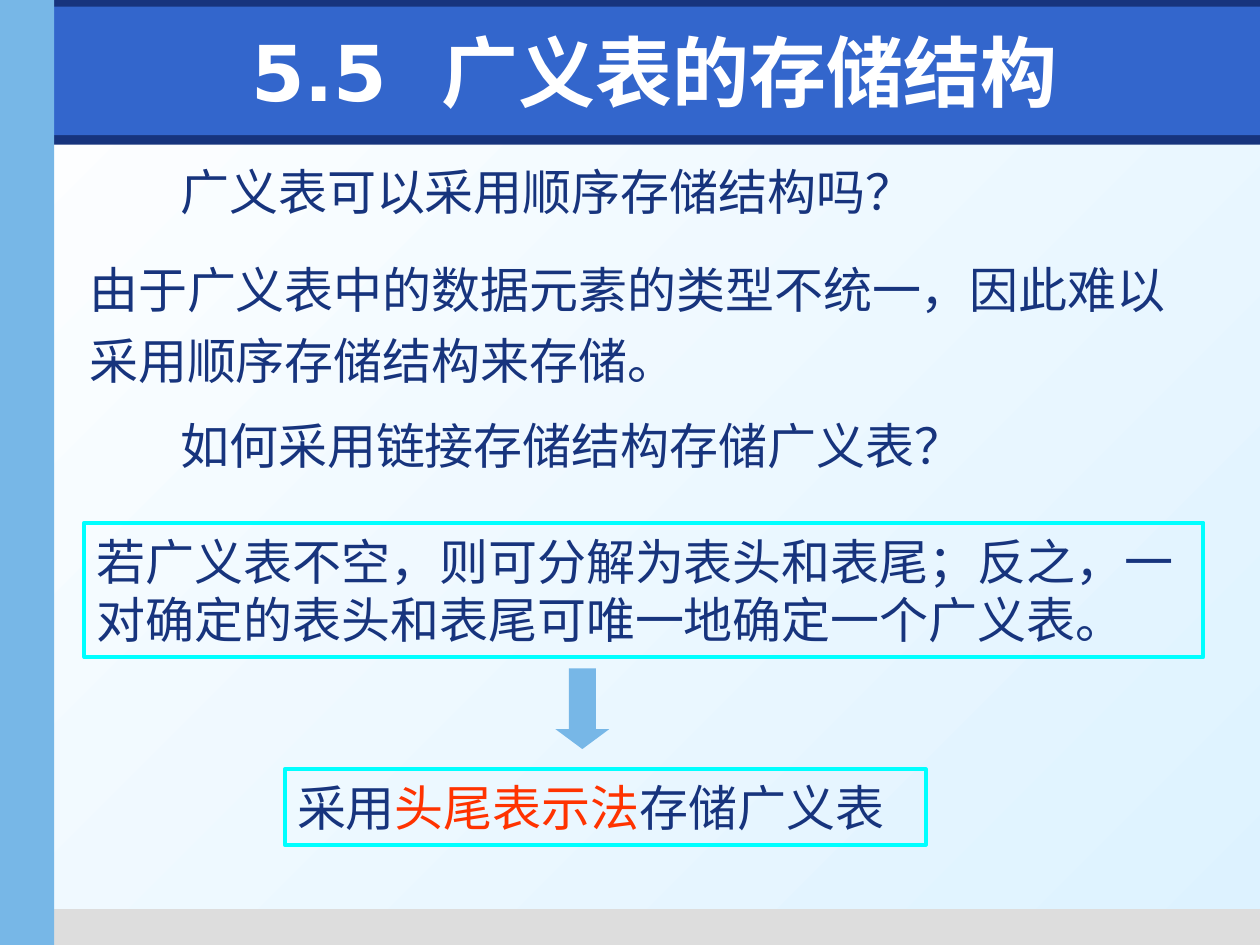
import dataclasses

import lxml.etree
import pptx
import pptx.dml.color
import pptx.enum.shapes
import pptx.enum.text
import pptx.oxml.ns
import pptx.util

SHAPES = pptx.enum.shapes.MSO_SHAPE
ALIGN = pptx.enum.text.PP_ALIGN
ANCHOR = pptx.enum.text.MSO_ANCHOR


@dataclasses.dataclass(frozen=True)
class Theme:
    """Colours, fonts and type sizes of the slide."""
    navy: str = "17347D"
    blue: str = "3366CC"
    sky: str = "77B7E7"
    gray: str = "DDDDDD"
    cyan: str = "00FFFF"
    red: str = "FF3300"
    white: str = "FFFFFF"
    pale: str = "DDF2FF"
    latin: str = "DejaVu Sans"
    cjk: str = "Noto Sans CJK SC"
    title: int = 44
    body: int = 28
    border: float = 2.25


@dataclasses.dataclass(frozen=True)
class Box:
    """A rectangle in inches that hands out areas of itself as shares."""
    left: float
    top: float
    width: float
    height: float

    def share(self, left, top, width, height):
        """Return the box at the given percentages of this one."""
        return Box(self.left + left * self.width / 100, self.top + top * self.height / 100,
                   width * self.width / 100, height * self.height / 100)

    def lengths(self):
        """Return the four lengths that python-pptx expects."""
        return [pptx.util.Inches(v) for v in dataclasses.astuple(self)]


THEME = Theme()
PAGE = Box(0, 0, 10, 7.5)


def rgb(value):
    """Turn a hex string into a colour."""
    return pptx.dml.color.RGBColor.from_string(value)


def add_block(slide, box, fill=None, line=None, preset=SHAPES.RECTANGLE):
    """Add a preset shape with an optional fill and outline."""
    block = slide.shapes.add_shape(preset, *box.lengths())
    block.shadow.inherit = False
    if fill:
        block.fill.solid()
        block.fill.fore_color.rgb = rgb(fill)
    else:
        block.fill.background()
    if line:
        block.line.color.rgb = rgb(line)
        block.line.width = pptx.util.Pt(THEME.border)
    else:
        block.line.fill.background()
    return block


def write(frame, *pieces, size=THEME.body, font=THEME.cjk, color=THEME.navy, bold=False,
          align=ALIGN.LEFT, anchor=ANCHOR.MIDDLE, spacing=None):
    """Write one paragraph of strings or (string, colour) pairs."""
    frame.word_wrap = True
    frame.vertical_anchor = anchor
    paragraph = frame.paragraphs[0]
    paragraph.alignment = align
    paragraph.line_spacing = spacing
    for piece in pieces:
        words, tint = (piece, color) if isinstance(piece, str) else piece
        run = paragraph.add_run()
        run.text = words
        run.font.size = pptx.util.Pt(size)
        run.font.bold = bold
        run.font.name = font
        run.font.color.rgb = rgb(tint)
        properties = run._r.get_or_add_rPr()
        east_asian = lxml.etree.SubElement(properties, pptx.oxml.ns.qn("a:ea"))
        east_asian.set("typeface", THEME.cjk)


def add_text(slide, box, *pieces, **text_format):
    """Add a text box holding one paragraph."""
    write(slide.shapes.add_textbox(*box.lengths()).text_frame, *pieces, **text_format)


def draw_backdrop(slide, page):
    """Paint the gradient, the header bands, the footer and the side bar."""
    fill = slide.background.fill
    fill.gradient()
    fill.gradient_angle = 315
    for stop, color in zip(fill.gradient_stops, (THEME.white, THEME.pale)):
        stop.color.rgb = rgb(color)
    side = 4.3
    for top, height, color in ((14.3, 1, THEME.navy), (96.2, 3.8, THEME.gray),
                               (0, 2.8, THEME.navy), (0.7, 13.6, THEME.blue)):
        add_block(slide, page.share(side, top, 100 - side, height), color)
    add_block(slide, page.share(0, 0, side, 100), THEME.sky)


def draw_title(slide, box):
    """Write the section heading."""
    add_text(slide, box, "5.5  广义表的存储结构", size=THEME.title, font=THEME.latin,
             color=THEME.white, bold=True, align=ALIGN.CENTER)


def draw_questions(slide, box):
    """Write the two indented questions with the answer between them."""
    indent, row = 8, 22
    for top, question in ((0, "广义表可以采用顺序存储结构吗？"),
                          (100 - row, "如何采用链接存储结构存储广义表？")):
        add_text(slide, box.share(indent, top, 82, row), question, anchor=ANCHOR.TOP)
    add_text(slide, box.share(0, 26.6, 100, 47.1),
             "由于广义表中的数据元素的类型不统一，因此难以采用顺序存储结构来存储。",
             spacing=1.2)


def draw_conclusion(slide, box):
    """Draw the framed premise, the arrow and the framed method."""
    premise = add_block(slide, box.share(0, 0, 100, 41.8), line=THEME.cyan)
    write(premise.text_frame,
          "若广义表不空，则可分解为表头和表尾；反之，一对确定的表头和表尾可唯一地确定一个广义表。")
    arrow = add_block(slide, box.share(42.1, 45.3, 4.8, 25), THEME.sky,
                      preset=SHAPES.DOWN_ARROW)
    arrow.adjustments[0], arrow.adjustments[1] = 0.5, 0.37
    method = add_block(slide, box.share(17.9, 76.6, 57.3, 23.4), line=THEME.cyan)
    write(method.text_frame, "采用", ("头尾表示法", THEME.red), "存储广义表")


def main():
    """Build and save the slide."""
    deck = pptx.Presentation()
    deck.slide_width, deck.slide_height = PAGE.lengths()[2:]
    slide = deck.slides.add_slide(deck.slide_layouts[6])
    draw_backdrop(slide, PAGE)
    draw_title(slide, PAGE.share(5.9, 1.7, 92.1, 11.6))
    draw_questions(slide, PAGE.share(6.1, 16.4, 90.4, 34.5))
    draw_conclusion(slide, PAGE.share(6.7, 55.3, 88.8, 34.1))
    deck.save("out.pptx")


if __name__ == "__main__":
    main()
